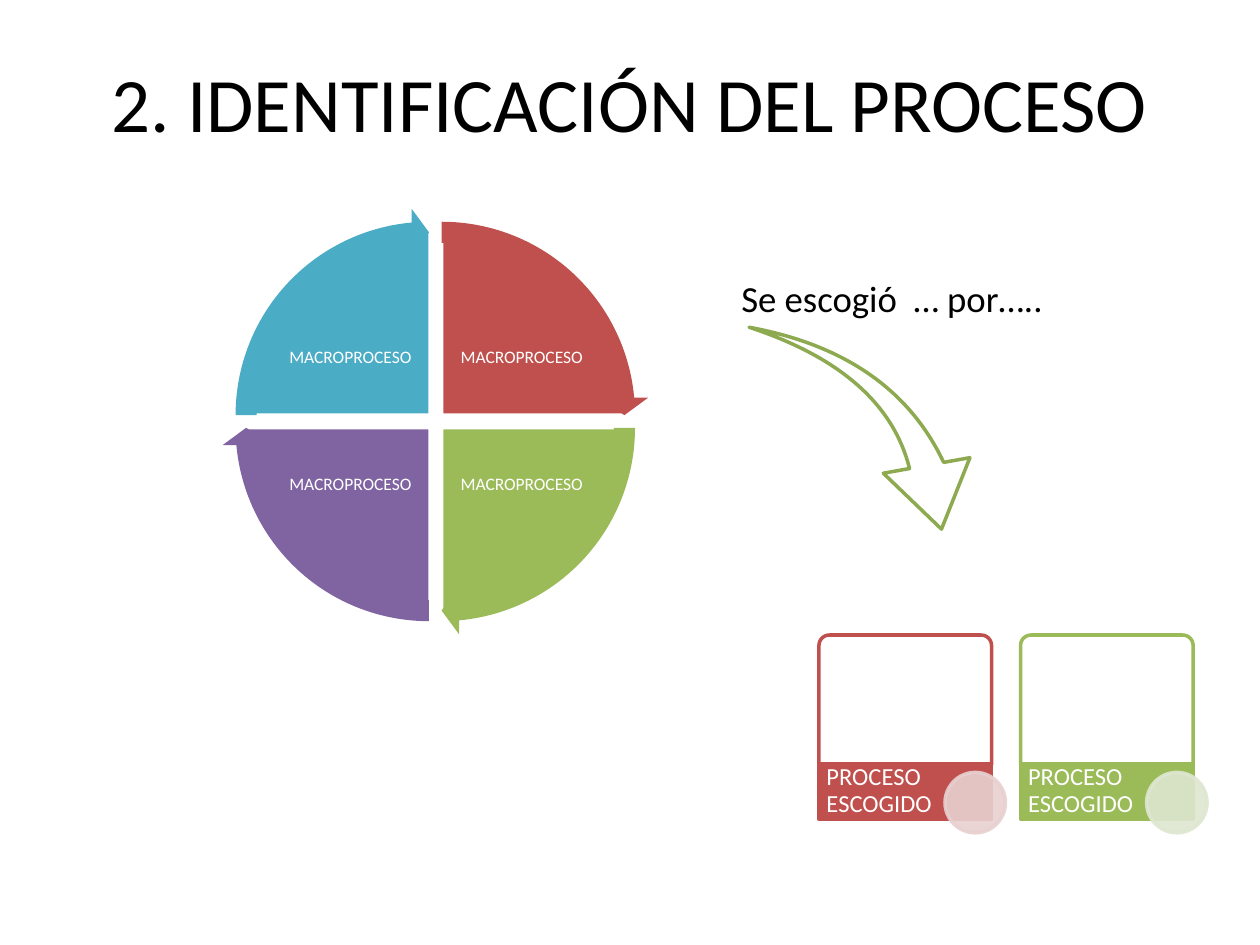
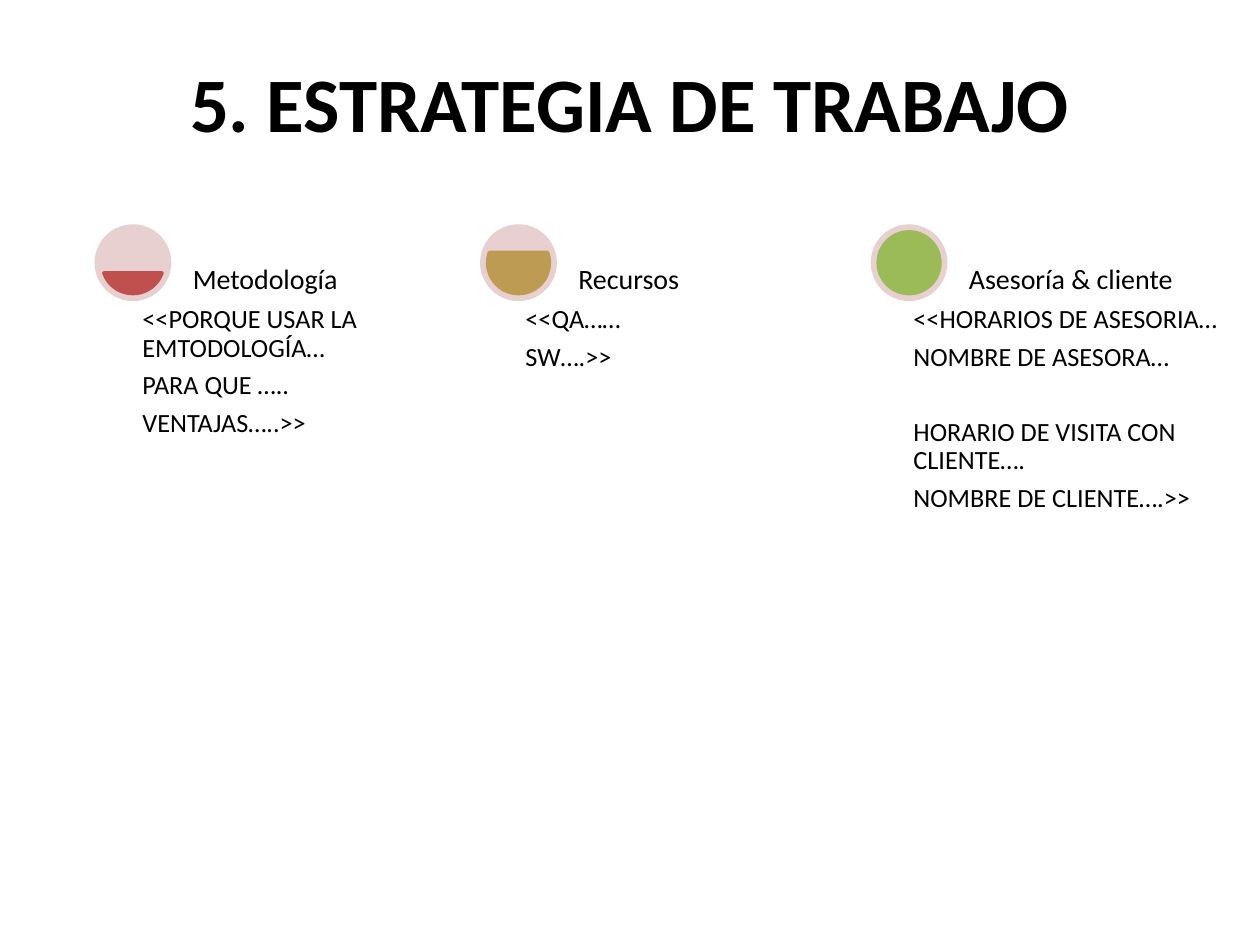
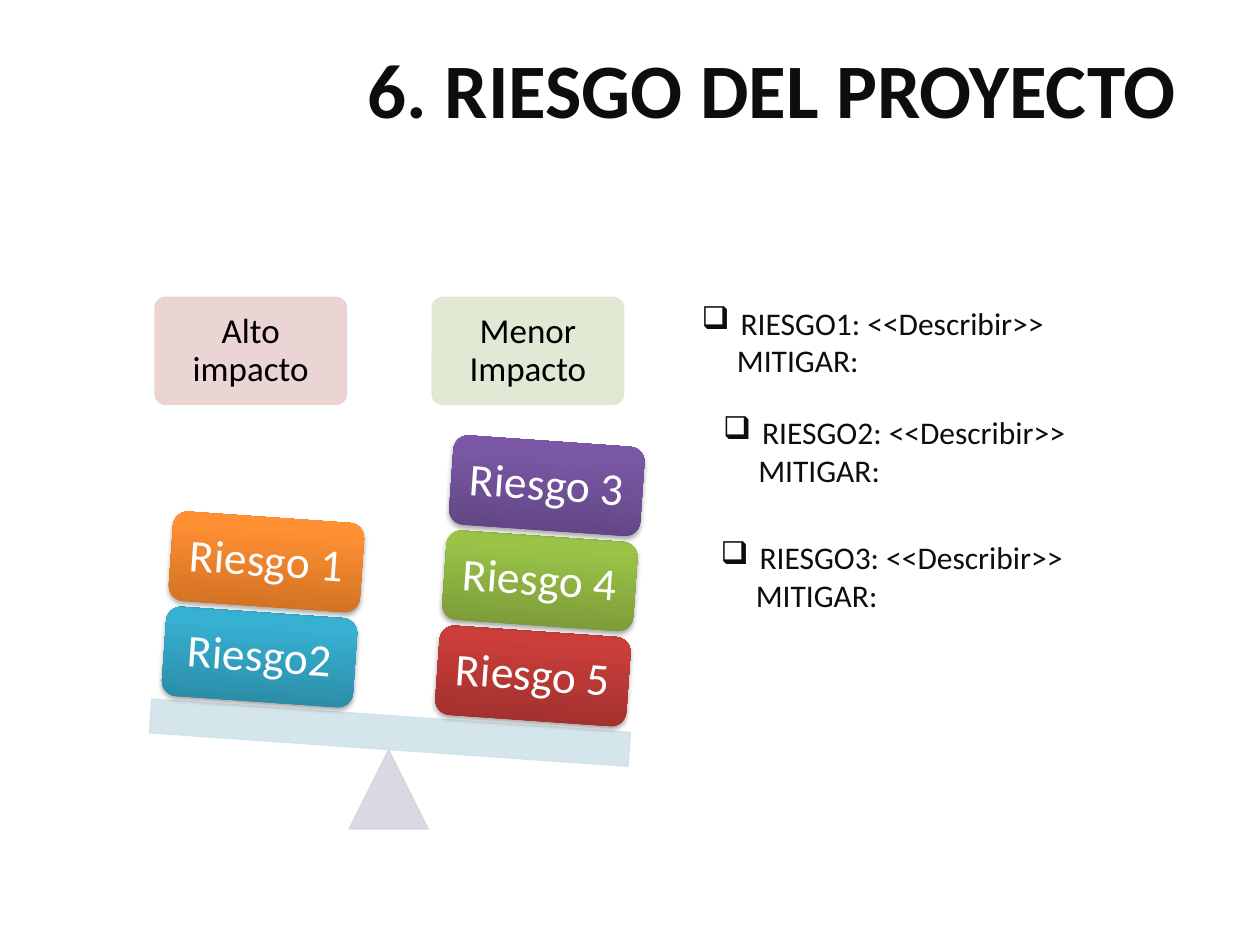
from copy import deepcopy
from math import acos, degrees

from lxml.etree import SubElement
from pptx import Presentation
from pptx.dml.color import RGBColor
from pptx.enum.shapes import MSO_SHAPE
from pptx.enum.text import MSO_ANCHOR, PP_ALIGN
from pptx.oxml.ns import qn
from pptx.util import Inches, Pt

FONT = "Calibri"
COLORS = {
    "black": "000000", "ink": "0D0D0D", "white": "FFFFFF",
    "red": "C0504D", "green": "9BBB59", "purple": "8064A2", "teal": "4BACC6",
    "ochre": "BD9B53", "olive": "8DAA51",
    "pale red": "E8D0D0", "pale green": "DEE7D1",
    "pale purple": "D8D3E0", "pale blue": "D0E3EA",
}
GRADIENTS = {
    "red": ("9C2F2D", "CB3E3A", "CE3B37"),
    "green": ("779737", "9BC348", "9DC746"),
    "purple": ("5F4480", "7B58A6", "7C57A8"),
    "blue": ("2A88A2", "37B1D2", "34B4D6"),
    "orange": ("CC6E20", "FF9034", "FF9136"),
}
TITLE_FRAME = (0.5, 0.3, 9, 1.01)
ANGLE_UNIT = 0.6  # adjustment units per degree
TILT = 4


def rgb(name):
    return RGBColor.from_string(COLORS[name])


def set_font(paragraph, size, color, bold=False):
    font = paragraph.font
    font.name, font.size, font.bold = FONT, Pt(size), bold
    font.color.rgb = rgb(color)


def add_page(deck, title, frame=TITLE_FRAME, color="black", bold=True,
             align=PP_ALIGN.CENTER, anchor=MSO_ANCHOR.MIDDLE):
    page = deck.slides.add_slide(deck.slide_layouts[5])
    box = page.shapes.title
    box.left, box.top, box.width, box.height = map(Inches, frame)
    box.text_frame.text = title
    box.text_frame.vertical_anchor = anchor
    paragraph = box.text_frame.paragraphs[0]
    paragraph.alignment = align
    set_font(paragraph, 44, color, bold)
    return page


def add_figure(page, kind, frame, fill=None, line=None, width=2,
               adjustments=(), rotation=0, faded=False):
    """Add a preset shape; faded makes the fill colour 90 % opaque."""
    shape = page.shapes.add_shape(kind, *map(Inches, frame))
    shape.shadow.inherit = False
    shape.rotation = rotation
    for index, value in enumerate(adjustments):
        shape.adjustments[index] = value
    if fill:
        shape.fill.solid()
        shape.fill.fore_color.rgb = rgb(fill)
    if line:
        shape.line.color.rgb = rgb(line)
        shape.line.width = Pt(width)
    else:
        shape.line.fill.background()
    if faded:
        for color in shape._element.spPr.iter(qn("a:srgbClr")):
            if color.get("val") == COLORS[fill]:
                SubElement(color, qn("a:alpha"), val="90000")
    return shape


def write(shape, groups, size, color, align=PP_ALIGN.LEFT,
          anchor=MSO_ANCHOR.MIDDLE, insets=(0.04, 0.04, 0.04, 0.04)):
    """Write groups of paragraphs, with a line's height between groups."""
    frame = shape.text_frame
    frame.word_wrap = True
    frame.vertical_anchor = anchor
    (frame.margin_left, frame.margin_top,
     frame.margin_right, frame.margin_bottom) = map(Inches, insets)
    paragraph = None
    for group in groups:
        for text in group:
            paragraph = frame.add_paragraph() if paragraph else frame.paragraphs[0]
            paragraph.text = text
            paragraph.alignment = align
            paragraph.line_spacing = 0.9
            paragraph.space_after = Pt(size * 0.35)
            set_font(paragraph, size, color)
        if group is not groups[-1]:
            paragraph.space_after = Pt(size * 1.78)


def add_text(page, frame, groups, size, color="black", **options):
    box = page.shapes.add_textbox(*map(Inches, frame))
    write(box, groups, size, color, **options)


def add_macroprocess_wheel(page):
    # colour, column, row, start angle
    quadrants = [("red", 1, 0, 270), ("green", 1, 1, 0),
                 ("purple", 0, 1, 90), ("teal", 0, 0, 180)]
    for color, column, row, start in quadrants:
        end = (start + 90) % 360
        frame = (1.95 + 0.09 * column, 1.83 + 0.1 * row, 2.93, 2.93)
        add_figure(page, MSO_SHAPE.PIE, frame, color, "white",
                   adjustments=(start * ANGLE_UNIT, end * ANGLE_UNIT))
        add_text(page, (2.24 + 1.36 * column, 2.44 + 1.01 * row, 1.08, 0.8),
                 [["MACROPROCESO"]], 10, "white", align=PP_ALIGN.CENTER,
                 insets=(0.01,) * 4)
    head = 3.275
    for color, column, row, start in quadrants:
        frame = (1.76 + 0.1 * column, 1.65 + 0.1 * row, 3.29, 3.29)
        tip = ((start + 90) * ANGLE_UNIT) - head
        add_figure(page, MSO_SHAPE.CIRCULAR_ARROW, frame, color,
                   adjustments=(0.051, head, tip, start * ANGLE_UNIT, 0.059))


def add_process_card(page, left, color, pale):
    add_figure(page, MSO_SHAPE.ROUND_2_SAME_RECTANGLE, (left, 5.04, 1.37, 1.03),
               "white", color, adjustments=(0.08, 0), faded=True)
    band = add_figure(page, MSO_SHAPE.RECTANGLE, (left, 6.06, 1.37, 0.44),
                      color, color)
    write(band, [["PROCESO ESCOGIDO"]], 14, "white", insets=(0.06, 0, 0.42, 0))
    add_figure(page, MSO_SHAPE.OVAL, (left + 1, 6.13, 0.48, 0.48),
               pale, pale, faded=True)


def add_strategy_column(page, left, color, level, heading, body, groups):
    """Add a gauge filled up to level, its heading, and the text below."""
    add_figure(page, MSO_SHAPE.OVAL, (left, 1.78, 0.61, 0.61), "pale red")
    half = degrees(acos(1 - 2 * level))
    add_figure(page, MSO_SHAPE.CHORD, (left + 0.06, 1.84, 0.49, 0.49), color, color,
               adjustments=((90 - half) % 360 * ANGLE_UNIT, (90 + half) * ANGLE_UNIT))
    body_left, body_width = body
    add_text(page, (body_left, 2.39, body_width, 2.57), groups, 15,
             anchor=MSO_ANCHOR.TOP)
    add_text(page, (left + 0.74, 1.78, 1.8, 0.61), [[heading]], 16,
             anchor=MSO_ANCHOR.BOTTOM)


def add_impact_label(page, left, text, color):
    label = add_figure(page, MSO_SHAPE.ROUNDED_RECTANGLE, (left, 2.36, 1.52, 0.85),
                       color, color, 0.75, (0.1,), faded=True)
    write(label, [[text]], 20, "black", PP_ALIGN.CENTER, insets=(0.08,) * 4)


def fill_gradient(shape, colors):
    shape.fill.gradient()
    shape.fill.gradient_angle = 90
    stops = shape._element.spPr.find(qn("a:gradFill")).find(qn("a:gsLst"))
    stops.append(deepcopy(stops[-1]))
    for stop, position, color in zip(shape.fill.gradient_stops, (0, 0.8, 1), colors):
        stop.position = position
        stop.color.rgb = RGBColor.from_string(color)


def cast_shadow(shape):
    effects = shape._element.spPr.find(qn("a:effectLst"))
    shadow = SubElement(effects, qn("a:outerShdw"), blurRad=str(Pt(3.1)),
                        dist=str(Pt(1.8)), dir="5400000", rotWithShape="0")
    color = SubElement(shadow, qn("a:srgbClr"), val=COLORS["black"])
    SubElement(color, qn("a:alpha"), val="35000")


def add_risk_stack(page, left, top, risks):
    """Stack tilted risk blocks upwards from the lowest one."""
    for index, (text, gradient) in enumerate(risks):
        frame = (left + 0.055 * index, top - 0.755 * index, 1.52, 0.71)
        block = add_figure(page, MSO_SHAPE.ROUNDED_RECTANGLE, frame, rotation=TILT)
        fill_gradient(block, GRADIENTS[gradient])
        cast_shadow(block)
        write(block, [[text]], 26, "white", PP_ALIGN.CENTER)


def add_risk_note(page, left, top, name):
    frame = page.shapes.add_textbox(*map(Inches, (left, top, 4.02, 0.71))).text_frame
    frame.word_wrap = True
    risk, remedy = frame.paragraphs[0], frame.add_paragraph()
    risk.text, remedy.text = f"{name}: <<Describir>>", "MITIGAR:"
    for paragraph, margin in ((risk, 0.31), (remedy, 0.28)):
        set_font(paragraph, 18, "ink")
        paragraph._p.get_or_add_pPr().set("marL", str(Inches(margin)))
    properties = risk._p.pPr
    properties.set("indent", str(-Inches(0.31)))
    bullet = SubElement(properties, qn("a:buChar"), char="❑")
    properties.insert(0, bullet)


def build_process_page(deck):
    page = add_page(deck, "2. IDENTIFICACIÓN DEL PROCESO", bold=False)
    add_macroprocess_wheel(page)
    add_process_card(page, 6.5, "red", "pale red")
    add_process_card(page, 8.1, "green", "pale green")
    add_figure(page, MSO_SHAPE.SWOOSH_ARROW, (5.99, 2.55, 1.7, 1.68), "white",
               "olive", adjustments=(0.163, 0.314), rotation=86.2)
    add_text(page, (5.82, 1.86, 2.52, 0.71), [["Se escogió  … por….."]], 21,
             align=PP_ALIGN.CENTER, anchor=MSO_ANCHOR.BOTTOM, insets=(0.03,) * 4)


def build_strategy_page(deck):
    page = add_page(deck, "5. ESTRATEGIA DE TRABAJO")
    add_strategy_column(page, 0.75, "red", 1 / 3, "Metodología", (1.09, 2.59), [
        ["<<PORQUE USAR LA EMTODOLOGÍA…", "PARA QUE …..", "VENTAJAS…..>>"]])
    add_strategy_column(page, 3.81, "ochre", 2 / 3, "Recursos", (4.13, 2.65), [
        ["<<QA……", "SW….>>"]])
    add_strategy_column(page, 6.91, "green", 1, "Asesoría & cliente", (7.21, 2.67), [
        ["<<HORARIOS DE ASESORIA…", "NOMBRE DE ASESORA…"],
        ["HORARIO DE VISITA CON CLIENTE….", "NOMBRE DE CLIENTE….>>"]])


def build_risk_page(deck):
    page = add_page(deck, "6. RIESGO DEL PROYECTO", (2.82, 0.28, 7.18, 1), "ink",
                    align=PP_ALIGN.LEFT, anchor=MSO_ANCHOR.TOP)
    add_impact_label(page, 1.23, "Alto impacto", "pale red")
    add_impact_label(page, 3.43, "Menor Impacto", "pale green")
    add_figure(page, MSO_SHAPE.ISOSCELES_TRIANGLE, (2.77, 5.95, 0.63, 0.63),
               "pale purple", "pale purple", 0.75, faded=True)
    add_figure(page, MSO_SHAPE.RECTANGLE, (1.19, 5.68, 3.81, 0.27),
               "pale blue", "pale blue", 0.75, rotation=TILT, faded=True)
    add_risk_stack(page, 3.47, 5.01, [
        ("Riesgo 5", "red"), ("Riesgo 4", "green"), ("Riesgo 3", "purple")])
    add_risk_stack(page, 1.3, 4.86, [("Riesgo2", "blue"), ("Riesgo 1", "orange")])
    for left, top, name in ((5.47, 2.36, "RIESGO1"), (5.64, 3.23, "RIESGO2"),
                            (5.62, 4.22, "RIESGO3")):
        add_risk_note(page, left, top, name)


def main():
    deck = Presentation()
    deck.slide_width, deck.slide_height = Inches(10), Inches(7.5)
    build_process_page(deck)
    build_strategy_page(deck)
    build_risk_page(deck)
    deck.save("out.pptx")


if __name__ == "__main__":
    main()
